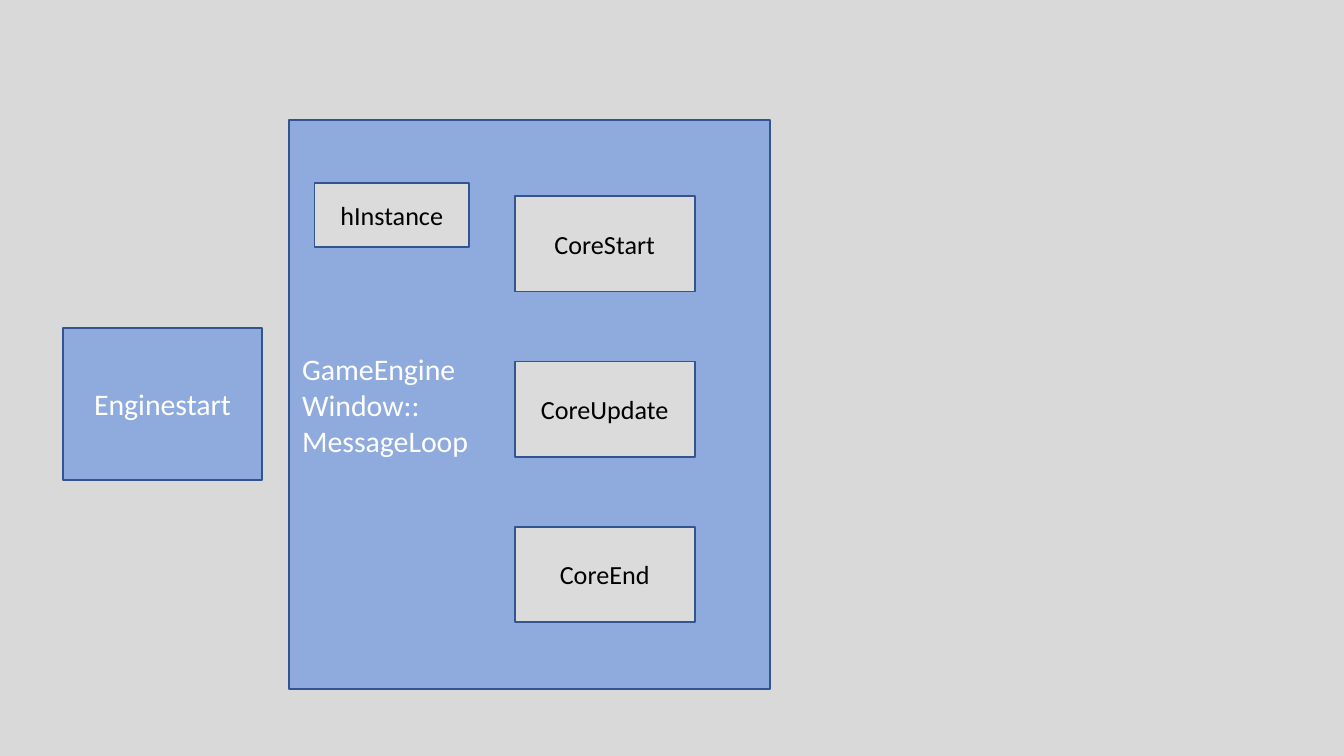
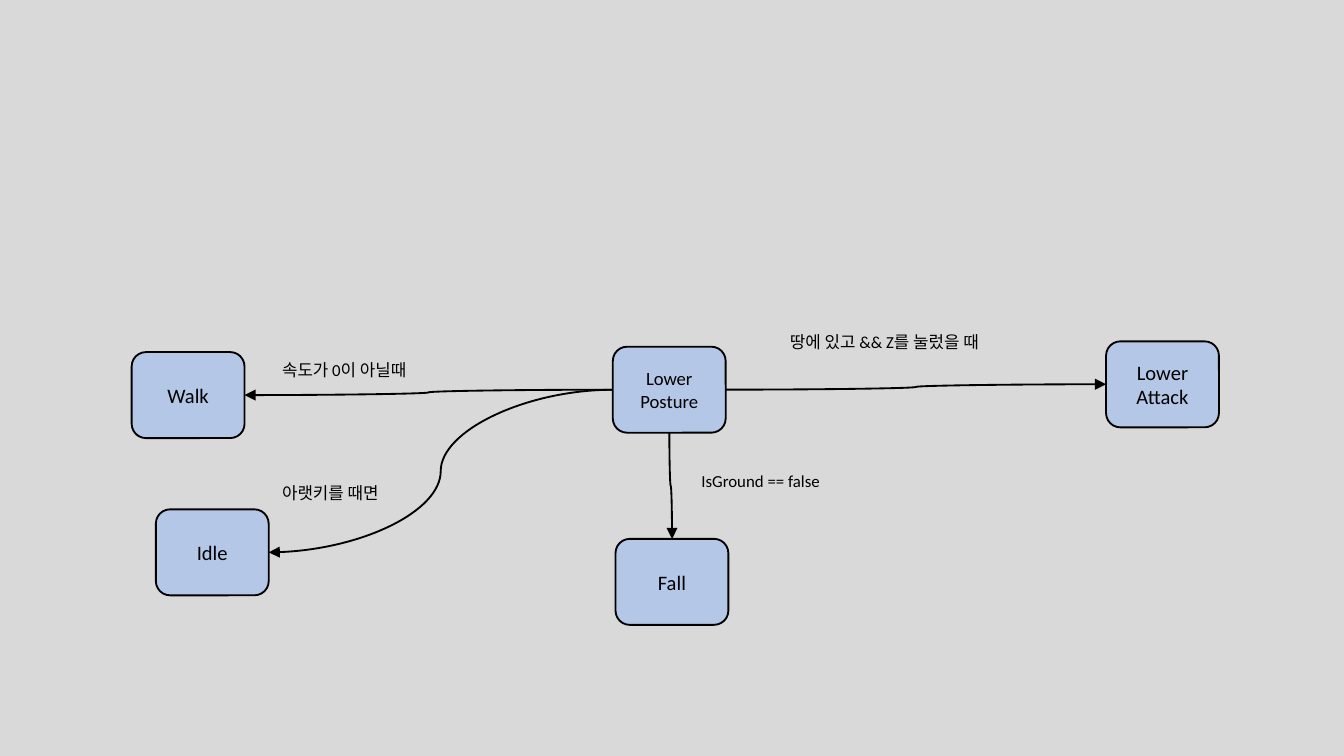
from lxml import etree
from pptx import Presentation
from pptx.dml.color import RGBColor
from pptx.enum.shapes import MSO_CONNECTOR, MSO_SHAPE
from pptx.enum.text import MSO_ANCHOR, MSO_AUTO_SIZE, PP_ALIGN
from pptx.oxml.ns import qn
from pptx.util import Inches, Pt

COLORS = {
    "background": "D9D9D9",
    "engine": "8FAADC",
    "core": "DBDBDB",
    "border": "325491",
    "state": "B4C7E7",
    "black": "000000",
    "white": "FFFFFF",
}
FONT = "Calibri"
COLUMNS = 100
TOP, LEFT, BOTTOM, RIGHT = range(4)


def rgb(name):
    return RGBColor.from_string(COLORS[name])


class Deck:
    """Diagram style and current slide, on a square grid of 100 columns."""

    def __init__(self):
        self.prs = Presentation()
        self.prs.slide_width = Inches(10)
        self.prs.slide_height = Inches(5.625)
        self.cell = self.prs.slide_width / COLUMNS
        fill = self.prs.slide_master.background.fill
        fill.solid()
        fill.fore_color.rgb = rgb("background")

    def new_slide(self):
        self.slide = self.prs.slides.add_slide(self.prs.slide_layouts[6])

    def grid(self, *cells):
        return [round(c * self.cell) for c in cells]

    def set_text(self, sp, text, size, color, align):
        tf = sp.text_frame
        tf.word_wrap = True
        tf.text = text
        for p in tf.paragraphs:
            p.alignment = align
            for r in p.runs:
                r.font.name = FONT
                r.font.size = Pt(size)
                r.font.color.rgb = rgb(color)

    def stroke(self, line, color):
        line.color.rgb = rgb(color)
        line.width = Pt(1)

    def box(self, text, at, fill, size, color="black", border="border",
            align=PP_ALIGN.CENTER, kind=MSO_SHAPE.RECTANGLE):
        sp = self.slide.shapes.add_shape(kind, *self.grid(*at))
        sp.shadow.inherit = False
        sp.fill.solid()
        sp.fill.fore_color.rgb = rgb(fill)
        self.stroke(sp.line, border)
        sp.text_frame.vertical_anchor = MSO_ANCHOR.MIDDLE
        self.set_text(sp, text, size, color, align)
        return sp

    def state(self, text, x, y, size=11):
        return self.box(text, (x, y, 8.4, 6.4), "state", size, border="black",
                        kind=MSO_SHAPE.ROUNDED_RECTANGLE)

    def label(self, text, x, y, width=13.1):
        sp = self.slide.shapes.add_textbox(*self.grid(x, y, width, 2.5))
        self.set_text(sp, text, 9, "black", PP_ALIGN.LEFT)
        sp.text_frame.auto_size = MSO_AUTO_SIZE.SHAPE_TO_FIT_TEXT

    def arrow(self, start, start_site, end, end_site):
        cxn = self.slide.shapes.add_connector(MSO_CONNECTOR.CURVE, 0, 0, 0, 0)
        cxn.begin_connect(start, start_site)
        cxn.end_connect(end, end_site)
        if start_site == BOTTOM:
            self.turn_down(cxn)
        self.stroke(cxn.line, "black")
        props = cxn._element.spPr
        tail = etree.SubElement(props.find(qn("a:ln")), qn("a:tailEnd"))
        tail.set("type", "triangle")
        etree.SubElement(props, qn("a:effectLst"))

    def turn_down(self, cxn):
        w, h = cxn.width, cxn.height
        cxn.left += (w - h) // 2
        cxn.top += (h - w) // 2
        cxn.width, cxn.height = h, w
        xfrm = cxn._element.spPr.find(qn("a:xfrm"))
        xfrm.set("rot", str(270 * 60000))
        xfrm.set("flipH", "1")


def engine_slide(deck):
    deck.new_slide()
    deck.box("GameEngine\nWindow::\nMessageLoop", (21.5, 8.9, 35.8, 42.4),
             "engine", 16, "white", align=PP_ALIGN.LEFT)
    deck.box("Enginestart", (4.7, 24.4, 14.8, 11.3), "engine", 16, "white")
    for i, name in enumerate(("CoreStart", "CoreUpdate", "CoreEnd")):
        deck.box(name, (38.3, 14.6 + 12.3 * i, 13.4, 7.1), "core", 14)
    deck.box("hInstance", (23.4, 13.6, 11.5, 4.8), "core", 14)


def posture_slide(deck):
    deck.new_slide()
    posture = deck.state("Lower\nPosture", 45.6, 25.8, size=10)
    walk = deck.state("Walk", 9.8, 26.2)
    attack = deck.state("Lower\nAttack", 82.3, 25.4)
    idle = deck.state("Idle", 11.6, 37.9)
    fall = deck.state("Fall", 45.8, 40.1)
    deck.arrow(posture, LEFT, walk, RIGHT)
    deck.arrow(posture, RIGHT, attack, LEFT)
    deck.arrow(posture, LEFT, idle, RIGHT)
    deck.arrow(posture, BOTTOM, fall, TOP)
    deck.label("땅에 있고 && Z를 눌렀을 때", 57.8, 24.2, width=17.3)
    deck.label("속도가 0이 아닐때", 20, 26.3)
    deck.label("아랫키를 때면", 20, 35.4)
    deck.label("IsGround == false", 51.2, 34.5)


deck = Deck()
engine_slide(deck)
posture_slide(deck)
deck.prs.save("out.pptx")
